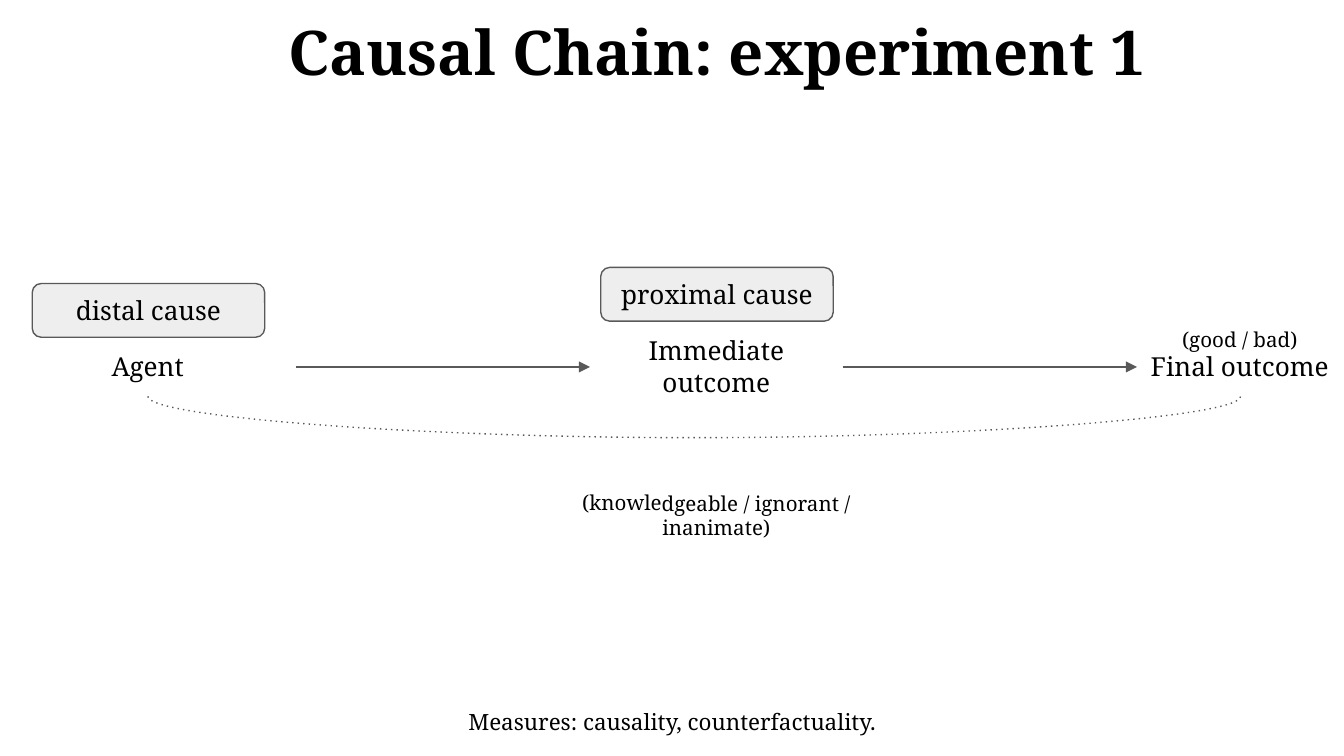
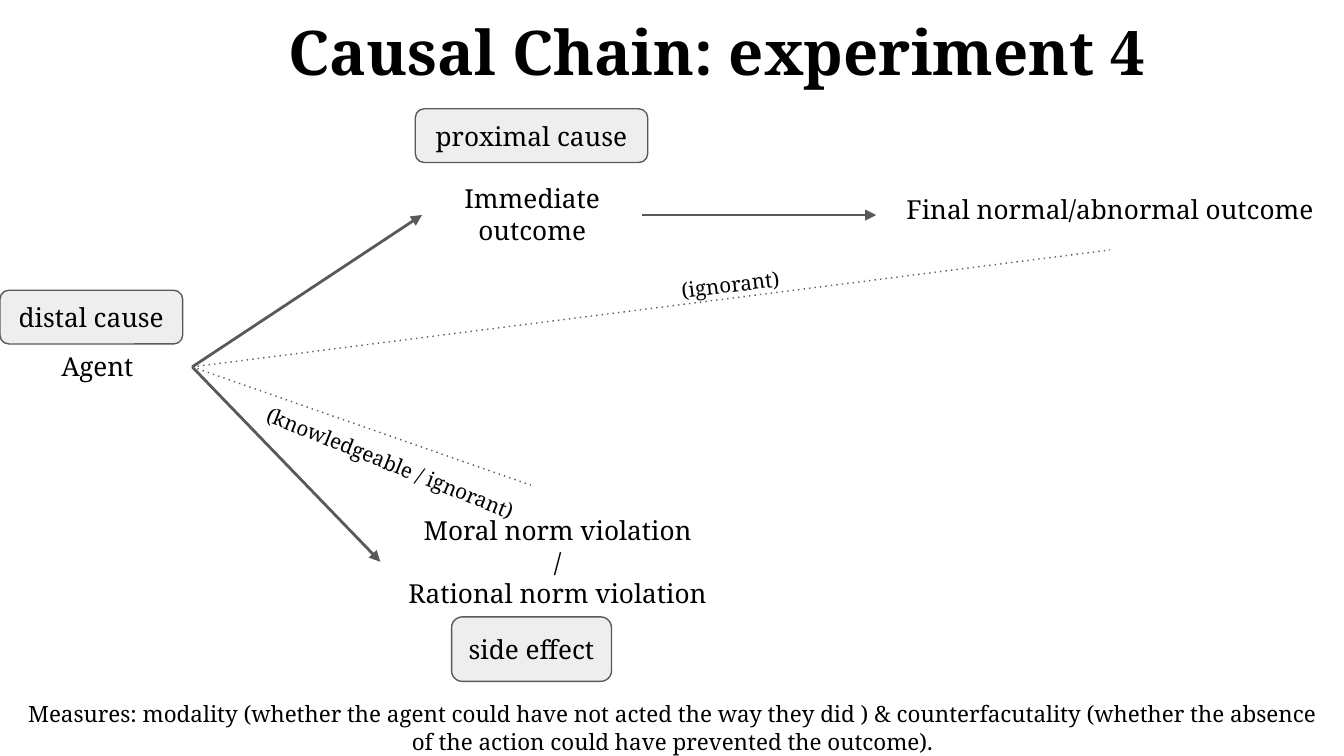
from lxml import etree
from pptx import Presentation
from pptx.dml.color import RGBColor
from pptx.enum.shapes import MSO_CONNECTOR, MSO_SHAPE
from pptx.enum.text import MSO_ANCHOR, MSO_AUTO_SIZE, PP_ALIGN
from pptx.oxml.ns import qn
from pptx.util import Emu, Inches, Pt

CENTER = PP_ALIGN.CENTER
TOP, MIDDLE = MSO_ANCHOR.TOP, MSO_ANCHOR.MIDDLE
FIXED, GROW = MSO_AUTO_SIZE.NONE, MSO_AUTO_SIZE.SHAPE_TO_FIT_TEXT
STRAIGHT, CURVED = MSO_CONNECTOR.STRAIGHT, MSO_CONNECTOR.CURVE
ROUNDED = MSO_SHAPE.ROUNDED_RECTANGLE

COLUMNS, ROWS = 100, 56.25
CELL = Inches(0.1)
TITLE_ONLY = 5
THIN, THICK = 0.75, 1.5
NODE_SIZE, NOTE_SIZE, MEASURES_SIZE, TITLE_SIZE = 14, 11, 12, 33


def grid(*cells):
    return [Emu(round(cell * CELL)) for cell in cells]


def color(hex_string):
    return RGBColor.from_string(hex_string)


class CausalChain:
    font = "Noto Serif"
    ink = color("000000")
    stroke = color("595959")
    tag_fill = color("EEEEEE")

    def __init__(self):
        self.deck = Presentation()
        self.deck.slide_width, self.deck.slide_height = grid(COLUMNS, ROWS)
        self.slide = None

    def start(self, heading):
        self.slide = self.deck.slides.add_slide(self.deck.slide_layouts[TITLE_ONLY])
        title = self.slide.shapes.title
        title.left, title.top, title.width, title.height = grid(17.1, 0, 72.5, 7.6)
        self.set_text(title, [heading], TITLE_SIZE, TOP, FIXED, bold=True)

    def set_text(self, shape, lines, size, anchor, fit, bold=False):
        frame = shape.text_frame
        frame.word_wrap = True
        frame.auto_size = fit
        frame.vertical_anchor = anchor
        frame.margin_left = frame.margin_right = CELL
        frame.margin_top = frame.margin_bottom = CELL
        for index, line in enumerate(lines):
            paragraph = frame.add_paragraph() if index else frame.paragraphs[0]
            paragraph.alignment = CENTER
            run = paragraph.add_run()
            run.text = line
            run.font.name = self.font
            run.font.size = Pt(size)
            run.font.bold = bold
            run.font.color.rgb = self.ink

    def label(self, place, *lines, size=NODE_SIZE, turn=0, fit=GROW):
        box = self.slide.shapes.add_textbox(*grid(*place))
        box.rotation = turn
        self.set_text(box, lines, size, TOP, fit)

    def tag(self, place, wording):
        box = self.slide.shapes.add_shape(ROUNDED, *grid(*place))
        box.shadow.inherit = False
        box.fill.solid()
        box.fill.fore_color.rgb = self.tag_fill
        box.line.color.rgb = self.stroke
        box.line.width = Pt(THIN)
        self.set_text(box, [wording], NODE_SIZE, MIDDLE, FIXED)

    def link(self, start, end, weight=THIN, kind=STRAIGHT, dotted=False):
        connector = self.slide.shapes.add_connector(kind, *grid(*start, *end))
        connector.line.color.rgb = self.stroke
        connector.line.width = Pt(weight)
        properties = connector._element.spPr
        outline = properties.find(qn("a:ln"))
        if dotted:
            etree.SubElement(outline, qn("a:prstDash"), val="dot")
        else:
            etree.SubElement(outline, qn("a:tailEnd"), type="triangle")
        etree.SubElement(properties, qn("a:effectLst"))
        return properties

    def sag(self, left, right, row, depth):
        middle, half = (left + right) / 2, (right - left) / 2
        sliver = 0.01
        properties = self.link((middle + sliver, row - half), (middle, row + half),
                               kind=CURVED, dotted=True)
        properties.find(qn("a:xfrm")).set("rot", str(270 * 60000))
        geometry = properties.find(qn("a:prstGeom"))
        adjustments = geometry.find(qn("a:avLst"))
        if adjustments is None:
            adjustments = etree.SubElement(geometry, qn("a:avLst"))
        bend = round(depth / sliver * 100000)
        etree.SubElement(adjustments, qn("a:gd"), name="adj1", fmla=f"val {bend}")


def experiment_one(chain):
    axis = 27.3
    chain.start("Causal Chain: experiment 1")
    chain.label((0, 25.1, 22, 4.4), "Agent")
    chain.label((43.9, 23.9, 18.8, 6.7), "Immediate outcome")
    chain.label((84.6, 25.1, 15.3, 4.4), "Final outcome")
    for start, end in ((22, 43.9), (62.7, 84.6)):
        chain.link((start, axis), (end, axis))
    chain.tag((2.4, 21.1, 17.3, 4), "distal cause")
    chain.tag((44.7, 19.9, 17.3, 4), "proximal cause")
    chain.label((39.3, 35.5, 28, 3.9), "(knowledgeable / ignorant / inanimate)",
                size=NOTE_SIZE, turn=0.1)
    chain.sag(11, 92.3, 29.5, 2.6)
    chain.label((86.6, 23.4, 11.3, 3.9), "(good / bad)", size=NOTE_SIZE, turn=0.2)
    chain.label((33.2, 51.7, 33.6, 4), "Measures: causality, counterfactuality.",
                size=MEASURES_SIZE, turn=0.1)


def experiment_four(chain):
    agent_edge = (14.3, 27.3)
    chain.start("Causal Chain: experiment 4")
    chain.label((0.2, 25.1, 14.1, 4.4), "Agent")
    chain.label((31.4, 12.6, 16.4, 6.7), "Immediate outcome")
    chain.label((65.2, 13.4, 34.8, 5.2), "Final normal/abnormal outcome", fit=FIXED)
    chain.link(agent_edge, (31.4, 16), THICK)
    chain.link((47.8, 16), (65.2, 16), THICK)
    chain.tag((0, 21.6, 13.6, 4), "distal cause")
    chain.tag((30.9, 8.1, 17.3, 4), "proximal cause")
    chain.link(agent_edge, (28.3, 41.8), THICK)
    chain.label((28.3, 37.3, 26.4, 9.1),
                "Moral norm violation", "/", "Rational norm violation")
    chain.tag((33.6, 45.9, 11.9, 4.8), "side effect")
    for outcome in ((82.6, 18.6), (39.5, 36.1)):
        chain.link(agent_edge, outcome, dotted=True)
    chain.label((48.4, 19.3, 11.9, 3.9), "(ignorant)", size=NOTE_SIZE, turn=353.2)
    chain.label((17.9, 32.6, 22.2, 3.9), "(knowledgeable / ignorant)",
                size=NOTE_SIZE, turn=22)
    chain.label((0.1, 51.2, 99.9, 6.1),
                "Measures: modality (whether the agent could have not acted the way "
                "they did ) & counterfacutality (whether the absence of the action "
                "could have prevented the outcome).",
                size=MEASURES_SIZE, turn=0.1)


def main():
    chain = CausalChain()
    experiment_one(chain)
    experiment_four(chain)
    chain.deck.save("out.pptx")


if __name__ == "__main__":
    main()
